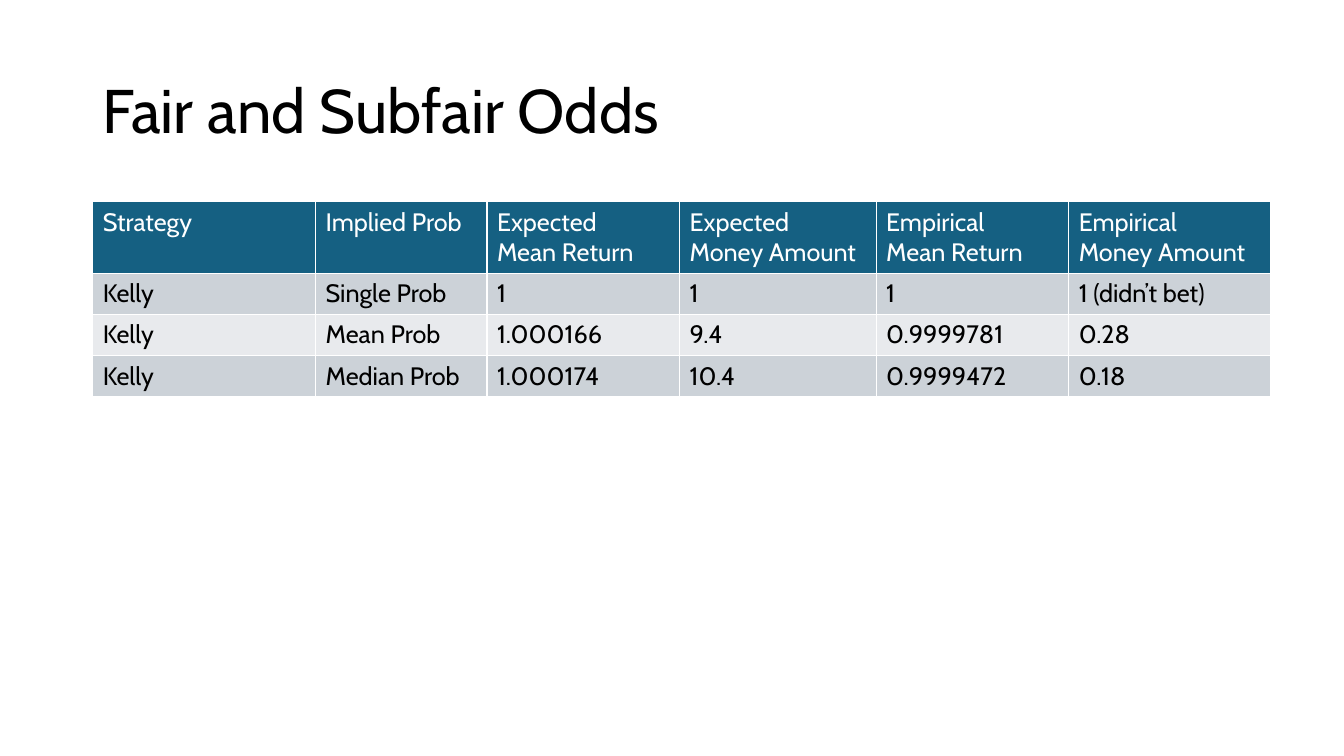
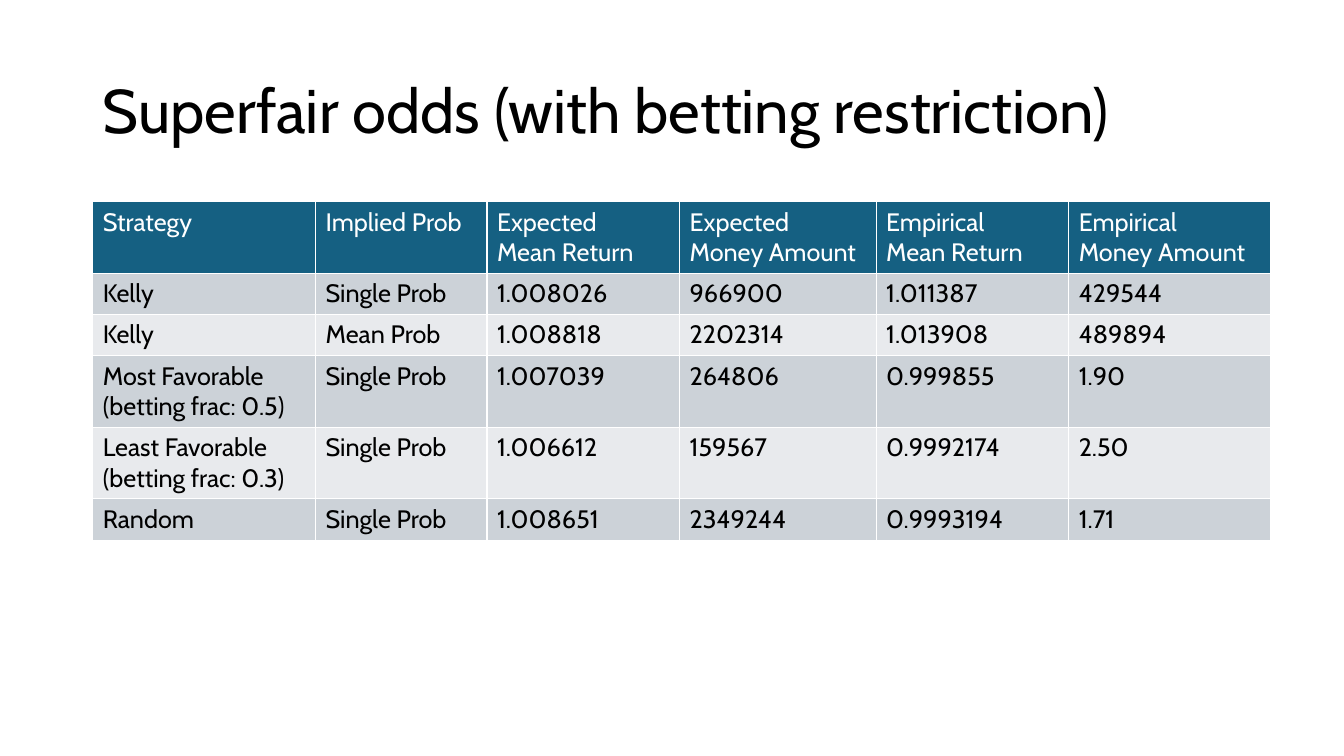
from lxml.etree import SubElement
from pptx import Presentation
from pptx.dml.color import RGBColor
from pptx.enum.text import MSO_ANCHOR as Anchor, PP_ALIGN as Align
from pptx.oxml.ns import qn
from pptx.util import Emu, Pt

EMU_PER_PX = 9144


def px(length):
    return Emu(length * EMU_PER_PX)


def color(hex_code):
    return RGBColor.from_string(hex_code)


def write(frame, text, font, size, ink, anchor=Anchor.TOP, spacing=1.0):
    frame.text = text
    frame.word_wrap = True
    frame.vertical_anchor = anchor
    for paragraph in frame.paragraphs:
        paragraph.alignment = Align.LEFT
        paragraph.line_spacing = spacing
        for run in paragraph.runs:
            run.font.name = font
            run.font.size = Pt(size)
            run.font.bold = False
            run.font.color.rgb = color(ink)


class Deck:
    FONT = "Cabin"
    INK = "000000"
    PAPER = "FFFFFF"
    HEADER_FILL = "156082"
    BAND_FILLS = ("CCD2D8", "E8EAED")
    LEFT = 92
    TITLE_TOP, TITLE_WIDTH, TITLE_HEIGHT = 40, 1150, 145
    TABLE_TOP = 200
    COLUMN_WIDTHS = (221, 170, 191, 195, 191, 200)
    ROW_HEIGHT, EXTRA_LINE = 41, 30

    def __init__(self):
        self.presentation = Presentation()
        self.presentation.slide_width = px(1333)
        self.presentation.slide_height = px(750)
        self.slide = None

    def new_slide(self, title):
        self.slide = self.presentation.slides.add_slide(self.presentation.slide_layouts[6])
        background = self.slide.background.fill
        background.solid()
        background.fore_color.rgb = color(self.PAPER)
        self.title(title)

    def title(self, text):
        heading = self.slide.shapes.add_textbox(
            px(self.LEFT), px(self.TITLE_TOP), px(self.TITLE_WIDTH), px(self.TITLE_HEIGHT))
        write(heading.text_frame, text, font=self.FONT, size=44, ink=self.INK,
              anchor=Anchor.MIDDLE, spacing=0.9)

    def table(self, header, results):
        rows = [header, *results]
        heights = [self.ROW_HEIGHT + self.EXTRA_LINE * max(text.count("\n") for text in row)
                   for row in rows]
        grid = self.slide.shapes.add_table(
            len(rows), len(header), px(self.LEFT), px(self.TABLE_TOP),
            px(sum(self.COLUMN_WIDTHS)), px(sum(heights))).table
        grid.horz_banding = False
        for column, width in zip(grid.columns, self.COLUMN_WIDTHS):
            column.width = px(width)
        for index, (row, height, texts) in enumerate(zip(grid.rows, heights, rows)):
            row.height = px(height)
            fill = self.BAND_FILLS[(index - 1) % 2] if index else self.HEADER_FILL
            ink = self.INK if index else self.PAPER
            for cell, text in zip(row.cells, texts):
                self.cell(cell, text, fill, ink)

    def cell(self, cell, text, fill, ink):
        write(cell.text_frame, text, font=self.FONT, size=18, ink=ink)
        properties = cell._tc.get_or_add_tcPr()
        for side in ("a:lnL", "a:lnR", "a:lnT", "a:lnB"):
            border = SubElement(properties, qn(side), w=str(Pt(1)))
            line_fill = SubElement(border, qn("a:solidFill"))
            SubElement(line_fill, qn("a:srgbClr"), val=self.PAPER)
        cell.fill.solid()
        cell.fill.fore_color.rgb = color(fill)


HEADER = ("Strategy", "Implied Prob", "Expected\nMean Return", "Expected\nMoney Amount",
          "Empirical\nMean Return", "Empirical\nMoney Amount")

RESULTS = {
    "Fair and Subfair Odds": (
        ("Kelly", "Single Prob", "1", "1", "1", "1 (didn’t bet)"),
        ("Kelly", "Mean Prob", "1.000166", "9.4", "0.9999781", "0.28"),
        ("Kelly", "Median Prob", "1.000174", "10.4", "0.9999472", "0.18"),
    ),
    "Superfair odds (with betting restriction)": (
        ("Kelly", "Single Prob", "1.008026", "966900", "1.011387", "429544"),
        ("Kelly", "Mean Prob", "1.008818", "2202314", "1.013908", "489894"),
        ("Most Favorable\n(betting frac: 0.5)", "Single Prob", "1.007039", "264806",
         "0.999855", "1.90"),
        ("Least Favorable\n(betting frac: 0.3)", "Single Prob", "1.006612", "159567",
         "0.9992174", "2.50"),
        ("Random", "Single Prob", "1.008651", "2349244", "0.9993194", "1.71"),
    ),
}


def main():
    deck = Deck()
    for title, results in RESULTS.items():
        deck.new_slide(title)
        deck.table(HEADER, results)
    deck.presentation.save("out.pptx")


if __name__ == "__main__":
    main()
